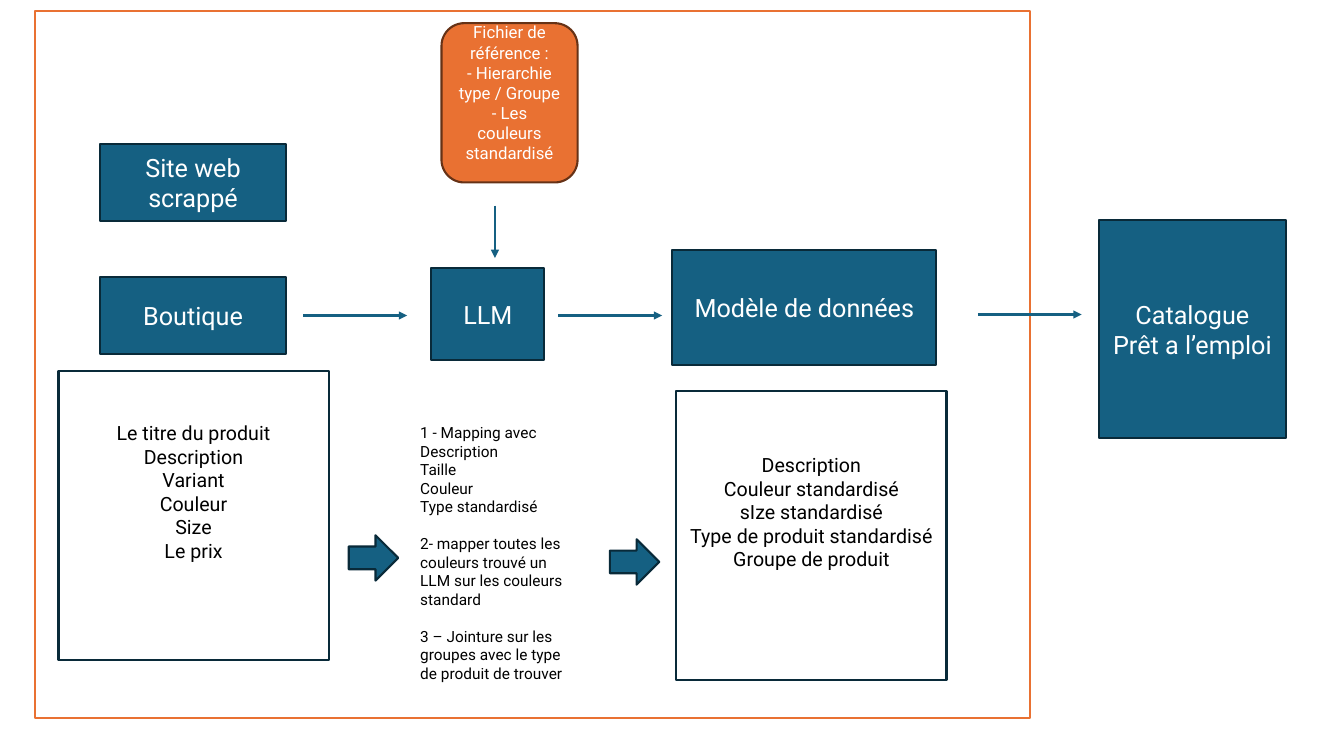
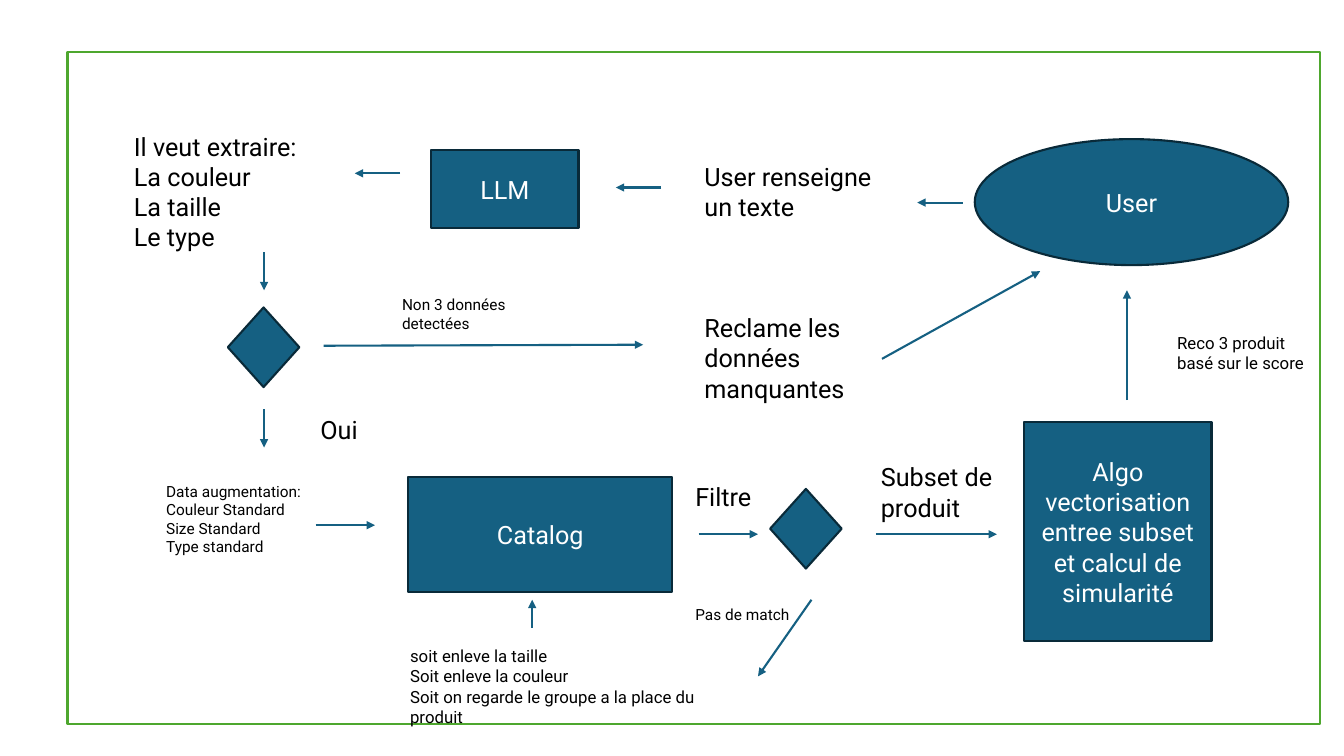
"""Build two flow diagrams: preparing a product catalogue and recommending from it."""
from dataclasses import dataclass

from lxml import etree
from pptx import Presentation
from pptx.dml.color import RGBColor
from pptx.enum.shapes import MSO_CONNECTOR, MSO_SHAPE
from pptx.enum.text import MSO_ANCHOR, MSO_AUTO_SIZE, PP_ALIGN
from pptx.oxml.ns import qn
from pptx.util import Inches, Pt

RECT, ROUNDED = MSO_SHAPE.RECTANGLE, MSO_SHAPE.ROUNDED_RECTANGLE
OVAL, DIAMOND = MSO_SHAPE.OVAL, MSO_SHAPE.DIAMOND
BLOCK_ARROW = MSO_SHAPE.RIGHT_ARROW
STRAIGHT = MSO_CONNECTOR.STRAIGHT
MIDDLE, CENTER, LEFT = MSO_ANCHOR.MIDDLE, PP_ALIGN.CENTER, PP_ALIGN.LEFT
FIT = MSO_AUTO_SIZE.SHAPE_TO_FIT_TEXT

WHITE = RGBColor(0xFF, 0xFF, 0xFF)
BLACK = RGBColor(0x00, 0x00, 0x00)
BLUE = RGBColor(0x15, 0x60, 0x82)
NAVY = RGBColor(0x09, 0x2A, 0x39)
ORANGE = RGBColor(0xE9, 0x71, 0x32)
BROWN = RGBColor(0x66, 0x32, 0x16)
GREEN = RGBColor(0x4E, 0xA7, 0x2E)

FONT = "Roboto"
CELL = Inches(0.1)
COLS, ROWS = 133.33, 75
LINE = Pt(1.5)
INSET = 0.5


@dataclass(frozen=True)
class Style:
    """Colours, text size and extra bottom inset of a box."""
    fill: RGBColor
    line: RGBColor
    text: RGBColor = WHITE
    size: int = 18
    lift: float = 0


@dataclass(frozen=True)
class Box:
    """A preset shape placed in grid cells."""
    x: float
    y: float
    w: float
    h: float
    lines: tuple[str, ...] = ()
    style: Style = Style(BLUE, NAVY)
    kind: MSO_SHAPE = RECT


@dataclass(frozen=True)
class Label:
    """Free text placed in grid cells; spaced lists paragraphs set apart."""
    x: float
    y: float
    w: float
    h: float
    lines: tuple[str, ...]
    size: int = 18
    spaced: tuple[int, ...] = ()


@dataclass(frozen=True)
class Arrow:
    """A straight arrow reaching dx columns and dy rows from its start."""
    x: float
    y: float
    dx: float
    dy: float


@dataclass(frozen=True)
class Diagram:
    """Everything on one slide, with the frame first."""
    frame: Box
    boxes: tuple[Box, ...]
    labels: tuple[Label, ...]
    arrows: tuple[Arrow, ...]


LIST = Style(WHITE, NAVY, BLACK, 14, 4.7)
REFERENCE = Style(ORANGE, BROWN, WHITE, 12, 2)

CATALOGUE = Diagram(
    Box(3.5, 1.1, 98.7, 70.1, style=Style(WHITE, ORANGE)),
    (
        Box(9.9, 14.3, 18.5, 7.6, ("Site web scrappé",)),
        Box(9.9, 27.5, 18.5, 7.6, ("Boutique",)),
        Box(42.8, 26.6, 11.2, 9.1, ("LLM",)),
        Box(66.7, 24.8, 26.2, 11.4, ("Modèle de données",)),
        Box(109, 21.8, 18.6, 21.7, ("Catalogue", "Prêt a l’emploi")),
        Box(5.8, 36.8, 26.8, 28.7,
            ("Le titre du produit", "Description", "Variant", "Couleur",
             "Size", "Le prix"), LIST),
        Box(67.1, 38.8, 26.8, 28.7,
            ("Description", "Couleur standardisé", "sIze standardisé",
             "Type de produit standardisé", "Groupe de produit"), LIST),
        Box(43.8, 2.3, 13.5, 15.8,
            ("Fichier de référence :", "- Hierarchie type / Groupe",
             "- Les couleurs standardisé"), REFERENCE, ROUNDED),
        Box(34.6, 53.1, 4.9, 4.5, kind=BLOCK_ARROW),
        Box(60.5, 53.5, 4.9, 4.5, kind=BLOCK_ARROW),
    ),
    (
        Label(40.7, 41.5, 16.9, 26.9,
              ("1 - Mapping avec", "Description", "Taille", "Couleur",
               "Type standardisé",
               "2- mapper toutes les couleurs trouvé un LLM sur les couleurs standard",
               "3 – Jointure sur les groupes avec le type de produit de trouver"),
              11, (5, 6)),
    ),
    (
        Arrow(30.1, 31.3, 10.3, 0),
        Arrow(55.4, 31.3, 10.3, 0),
        Arrow(97, 31.2, 10.3, 0),
        Arrow(49.1, 20.4, 0, 5.2),
    ),
)

RECOMMENDATION = Diagram(
    Box(6.7, 5.2, 124.3, 66.6, style=Style(WHITE, GREEN)),
    (
        Box(96.7, 13.8, 31.1, 12.5, ("User",), kind=OVAL),
        Box(42.8, 14.9, 14.6, 7.7, ("LLM",)),
        Box(22.6, 30.5, 7.1, 7.9, kind=DIAMOND),
        Box(40.5, 47.3, 26.2, 11.4, ("Catalog",)),
        Box(76.4, 48.5, 7.1, 7.9, kind=DIAMOND),
        Box(101.6, 41.9, 18.6, 21.7,
            ("Algo vectorisation entree subset et calcul de simularité",)),
    ),
    (
        Label(68.9, 15.5, 20.6, 7.1, ("User renseigne un texte",)),
        Label(12.3, 12.5, 22.4, 13.1,
              ("Il veut extraire:", "La couleur", "La taille", "Le type")),
        Label(68.9, 30.5, 20.6, 10.1, ("Reclame les données manquantes",)),
        Label(38.9, 28.8, 16.7, 4.7, ("Non 3 données detectées",), 11),
        Label(30.8, 40.6, 6.7, 4, ("Oui",)),
        Label(15.5, 47.3, 23.3, 8.4,
              ("Data augmentation:", "Couleur Standard", "Size Standard",
               "Type standard"), 11),
        Label(68, 47.3, 8.4, 4, ("Filtre",)),
        Label(68, 59.5, 16.7, 2.9, ("Pas de match",), 11),
        Label(39.7, 63.6, 35.4, 7.1,
              ("soit enleve la taille", "Soit enleve la couleur",
               "Soit on regarde le groupe a la place du produit"), 12),
        Label(86.4, 45.3, 15.7, 7.1, ("Subset de produit",)),
        Label(115.8, 32.5, 15.3, 5, ("Reco 3 produit basé sur le score",), 12),
    ),
    (
        Arrow(95.5, 20.1, -4.5, 0),
        Arrow(65.6, 18.6, -4.5, 0),
        Arrow(39.7, 17.2, -4.5, 0),
        Arrow(26.2, 25, 0, 3.8),
        Arrow(26.2, 40.6, 0, 3.8),
        Arrow(32.1, 34.3, 31.7, -0.1),
        Arrow(87.5, 35.6, 15.7, -8.7),
        Arrow(31.3, 52.1, 5.9, 0),
        Arrow(69.3, 53, 5.9, 0),
        Arrow(86.9, 53, 12, 0),
        Arrow(80.5, 59.5, -5.3, 7.6),
        Arrow(52.8, 62.3, 0, -2.8),
        Arrow(111.8, 39.7, 0, -10.9),
    ),
)


def cells(*values: float) -> list[int]:
    """Convert grid cells to slide units."""
    return [round(v * CELL) for v in values]


def write(tf, lines: tuple[str, ...], size: int, color: RGBColor,
          align: PP_ALIGN, spaced: tuple[int, ...] = ()) -> None:
    """Write one paragraph per line, with a gap before the spaced ones."""
    tf.word_wrap = True
    for i, line in enumerate(lines):
        p = tf.add_paragraph() if i else tf.paragraphs[0]
        p.alignment = align
        if i in spaced:
            p.space_before = Pt(size * 1.2)
        r = p.add_run()
        r.text = line
        r.font.name, r.font.size = FONT, Pt(size)
        r.font.color.rgb = color


def draw_box(s, box: Box) -> None:
    """Draw a filled shape and its centred text."""
    style = box.style
    sp = s.shapes.add_shape(box.kind, *cells(box.x, box.y, box.w, box.h))
    sp.shadow.inherit = False
    sp.fill.solid()
    sp.fill.fore_color.rgb = style.fill
    sp.line.color.rgb = style.line
    sp.line.width = LINE
    if box.lines:
        tf = sp.text_frame
        tf.vertical_anchor = MIDDLE
        tf.margin_bottom = cells(INSET + style.lift)[0]
        write(tf, box.lines, style.size, style.text, CENTER)


def draw_label(s, label: Label) -> None:
    """Draw left-aligned text without an outline."""
    sp = s.shapes.add_textbox(*cells(label.x, label.y, label.w, label.h))
    tf = sp.text_frame
    tf.auto_size = FIT
    write(tf, label.lines, label.size, BLACK, LEFT, label.spaced)


def draw_arrow(s, arrow: Arrow) -> None:
    """Draw a straight connector with a triangular head."""
    x, y = arrow.x, arrow.y
    sp = s.shapes.add_connector(
        STRAIGHT, *cells(x, y, x + arrow.dx, y + arrow.dy))
    sp.line.color.rgb = BLUE
    sp.line.width = LINE
    props = sp.element.spPr
    etree.SubElement(props.find(qn("a:ln")), qn("a:tailEnd"), type="triangle")
    etree.SubElement(props, qn("a:effectLst"))


def draw_diagram(prs, diagram: Diagram) -> None:
    """Add a blank slide and draw the diagram from back to front."""
    s = prs.slides.add_slide(prs.slide_layouts[6])
    for box in (diagram.frame, *diagram.boxes):
        draw_box(s, box)
    for label in diagram.labels:
        draw_label(s, label)
    for arrow in diagram.arrows:
        draw_arrow(s, arrow)


def main() -> None:
    """Build and save the presentation."""
    prs = Presentation()
    prs.slide_width, prs.slide_height = cells(COLS, ROWS)
    for diagram in (CATALOGUE, RECOMMENDATION):
        draw_diagram(prs, diagram)
    prs.save("out.pptx")


if __name__ == "__main__":
    main()
